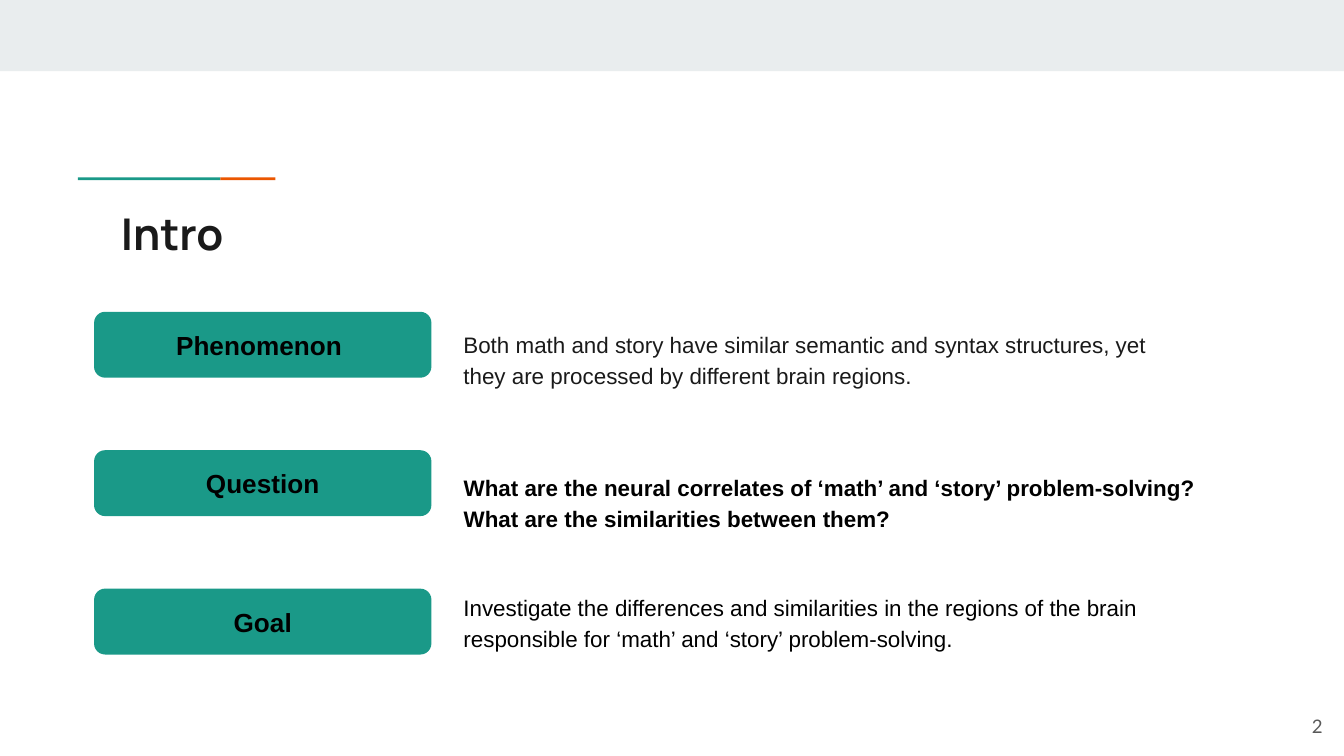
import pptx
import pptx.dml.color
import pptx.enum.shapes
import pptx.enum.text
import pptx.util
from dataclasses import dataclass

Inches = pptx.util.Inches
Align = pptx.enum.text.PP_ALIGN
Anchor = pptx.enum.text.MSO_ANCHOR
Preset = pptx.enum.shapes.MSO_SHAPE


@dataclass(frozen=True)
class Theme:
    band: str = "E9EDEE"
    green: str = "1A9988"
    orange: str = "EB5600"
    dark: str = "1A1A1A"
    black: str = "000000"
    gray: str = "595959"
    title_size: float = 23.4
    label_size: float = 14
    body_size: float = 12
    number_size: float = 10


theme = Theme()


def add_filled(preset, box, color):
    shape = slide.shapes.add_shape(preset, *map(Inches, box))
    shape.shadow.inherit = False
    shape.fill.solid()
    shape.fill.fore_color.rgb = pptx.dml.color.RGBColor.from_string(color)
    shape.line.fill.background()
    return shape


def write(shape, text, font, size, color, bold=False, align=Align.LEFT, anchor=Anchor.MIDDLE):
    frame = shape.text_frame
    frame.text = text
    frame.word_wrap = True
    frame.auto_size = pptx.enum.text.MSO_AUTO_SIZE.NONE
    frame.vertical_anchor = anchor
    frame.margin_left = frame.margin_right = Inches(0.1)
    frame.margin_top = frame.margin_bottom = Inches(0.1)
    paragraph = frame.paragraphs[0]
    paragraph.alignment = align
    paragraph.space_before = pptx.util.Pt(0)
    paragraph.font.name = font
    paragraph.font.size = pptx.util.Pt(size)
    paragraph.font.bold = bold
    paragraph.font.color.rgb = pptx.dml.color.RGBColor.from_string(color)
    return paragraph


presentation = pptx.Presentation()
presentation.slide_width = Inches(10)
presentation.slide_height = Inches(10 * 9 / 16)
slide = presentation.slides.add_slide(presentation.slide_layouts[1])
title = slide.shapes.title
body = slide.placeholders[1]

add_filled(Preset.RECTANGLE, (0, 0, 10, 0.53), theme.band)
add_filled(Preset.RECTANGLE, (0.58, 1.32, 1.06, 0.02), theme.green)
add_filled(Preset.RECTANGLE, (1.64, 1.32, 0.41, 0.02), theme.orange)

title.left, title.top, title.width, title.height = map(Inches, (0.8, 1.44, 8.41, 0.59))
write(title, "Intro", "Manrope", theme.title_size, theme.dark, bold=True, anchor=Anchor.TOP)

rows = [
    ("Phenomenon ", "Both math and story have similar semantic and syntax structures, "
     "yet they are processed by different brain regions.",
     (3.35, 2.37, 5.6, 0.59), theme.dark, 14),
    ("Question", "What are the neural correlates of ‘math’ and ‘story’ problem-solving? \v"
     "What are the similarities between them?",
     (3.35, 3.41, 6.07, 0.64), theme.black, 14),
    ("Goal", "Investigate the differences and similarities in the regions of the brain "
     "responsible for ‘math’ and ‘story’ problem-solving.",
     (3.35, 4.3, 5.79, 0.64), theme.black, 0),
]
for index, (label, text, box, color, space_after) in enumerate(rows):
    button = add_filled(Preset.ROUNDED_RECTANGLE, (0.7, 2.32 + 1.03 * index, 2.51, 0.49), theme.green)
    write(button, label, "Arial", theme.label_size, theme.black, bold=True, align=Align.CENTER)

    is_question = label == "Question"
    if is_question:
        description = body
        body.left, body.top, body.width, body.height = map(Inches, box)
    else:
        description = slide.shapes.add_textbox(*map(Inches, box))
    paragraph = write(description, text, "Arial", theme.body_size, color, bold=is_question)
    paragraph.line_spacing = 1.15
    paragraph.space_after = pptx.util.Pt(space_after)

properties = body.text_frame.paragraphs[0]._p.get_or_add_pPr()
properties.set("marL", "0")
properties.set("indent", "0")
bullet = pptx.oxml.parse_xml(
    '<a:buNone xmlns:a="http://schemas.openxmlformats.org/drawingml/2006/main"/>')
properties.find(pptx.oxml.ns.qn("a:defRPr")).addprevious(bullet)

number = slide.shapes.add_textbox(*map(Inches, (9.34, 5.19, 0.6, 0.43)))
write(number, "2", "Lato", theme.number_size, theme.gray, align=Align.RIGHT)

presentation.save("out.pptx")
